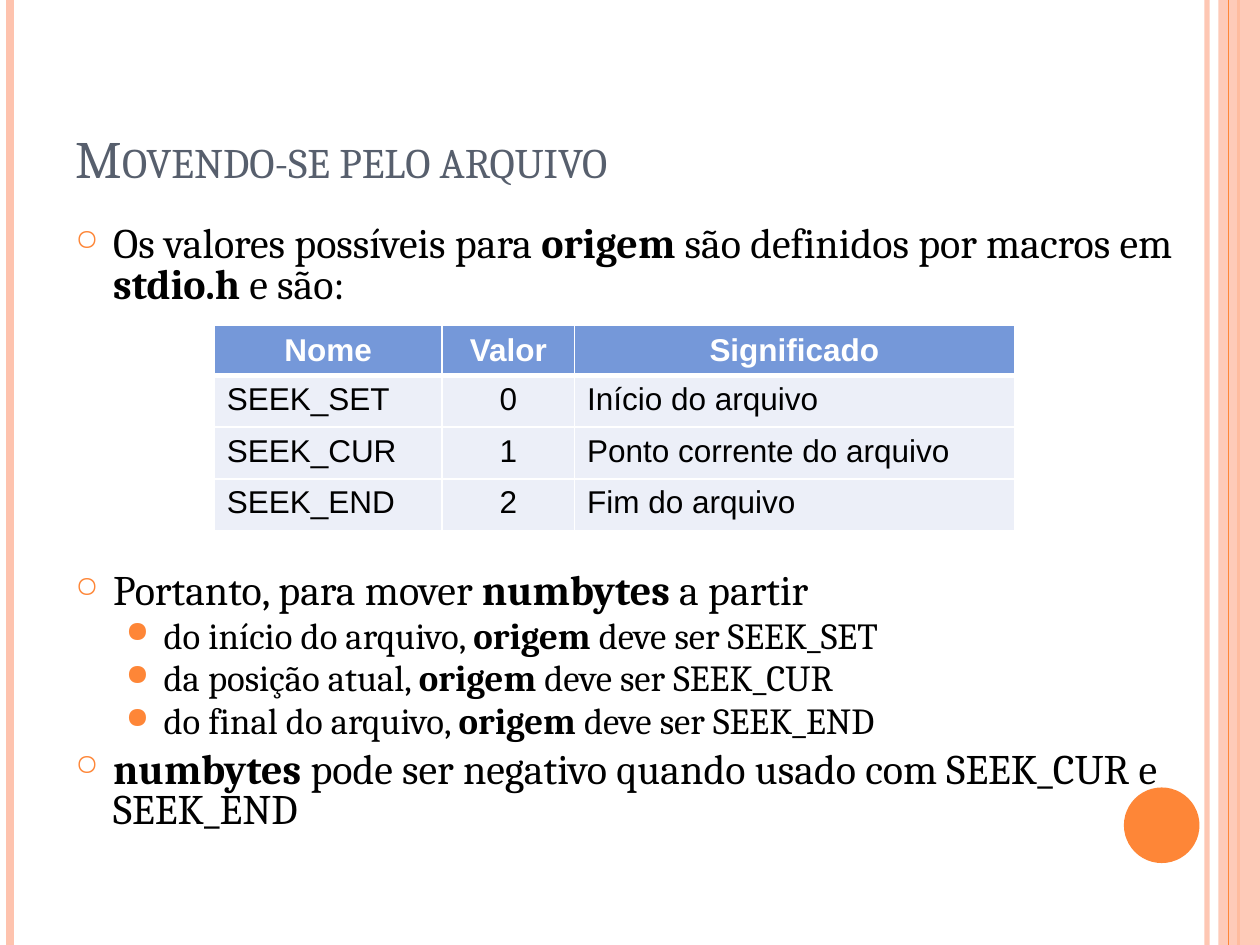
from lxml import etree
from pptx import Presentation
from pptx.dml.color import RGBColor
from pptx.enum.shapes import MSO_CONNECTOR, MSO_SHAPE
from pptx.enum.text import MSO_ANCHOR, MSO_AUTO_SIZE, PP_ALIGN
from pptx.oxml.ns import qn
from pptx.util import Inches, Pt

STRAIGHT = MSO_CONNECTOR.STRAIGHT
RECTANGLE, OVAL = MSO_SHAPE.RECTANGLE, MSO_SHAPE.OVAL
LEFT, CENTER = PP_ALIGN.LEFT, PP_ALIGN.CENTER
TOP, MIDDLE, BOTTOM = MSO_ANCHOR.TOP, MSO_ANCHOR.MIDDLE, MSO_ANCHOR.BOTTOM
NO_FIT = MSO_AUTO_SIZE.NONE

WHITE = RGBColor(0xFF, 0xFF, 0xFF)
BLACK = RGBColor(0x00, 0x00, 0x00)
SLATE = RGBColor(0x57, 0x5F, 0x6D)
ORANGE = RGBColor(0xFE, 0x86, 0x37)
PEACH = RGBColor(0xFE, 0xC3, 0xAE)
BLUE = RGBColor(0x75, 0x98, 0xD9)
PALE_BLUE = RGBColor(0xEC, 0xEF, 0xF8)

TITLE = "Movendo-se pelo arquivo"
INTRO = [
    (0, [("Os valores possíveis para ", False), ("origem", True),
         (" são definidos por macros em ", False), ("stdio.h", True), (" e são:", False)]),
]
USAGE = [
    (0, [("Portanto, para mover ", False), ("numbytes", True), (" a partir", False)]),
    *[(1, [(f"{start}, ", False), ("origem", True), (f" deve ser {macro}", False)])
      for start, macro in [("do início do arquivo", "SEEK_SET"),
                           ("da posição atual", "SEEK_CUR"),
                           ("do final do arquivo", "SEEK_END")]],
    (0, [("numbytes ", True),
         ("pode ser negativo quando usado com SEEK_CUR e SEEK_END", False)]),
]
LEVELS = [
    {"size": 24, "before": 6, "indent": 0.3, "bullet": ("○", 70)},
    {"size": 21, "before": 4.2, "indent": 0.7, "bullet": ("●", 80)},
]
TABLE = [
    ("Nome", "Valor", "Significado"),
    ("SEEK_SET", "0", "Início do arquivo"),
    ("SEEK_CUR", "1", "Ponto corrente do arquivo"),
    ("SEEK_END", "2", "Fim do arquivo"),
]
COLUMN_WIDTHS = [1.81, 1.05, 3.49]
ROW_HEIGHTS = [0.39, 0.41, 0.41, 0.41]
LEFT_STRIPES = [(9.58, PEACH, 3, 93), (0.08, PEACH, 4.5, 100), (9.83, ORANGE, 1.5, 100)]
TOP_STRIPE = (9.75, ORANGE, 0.75, 100)


def add_element(parent, tag, **attributes):
    element = etree.SubElement(parent, qn(tag))
    for name, value in attributes.items():
        element.set(name, str(value))
    return element


def set_opacity(shape, percent):
    if percent < 100:
        color = next(shape.element.spPr.iter(qn("a:srgbClr")))
        add_element(color, "a:alpha", val=percent * 1000)


def write_text(para, spans, size, font="Cambria", color=BLACK, align=LEFT, before=0,
               spacing=None, indent=None, bullet=None, small_caps=False):
    para.alignment = align
    para.space_before = Pt(before)
    if spacing:
        para.line_spacing = spacing
    if bullet:
        mark, percent = bullet
        properties = para._p.get_or_add_pPr()
        properties.set("marL", str(Inches(indent)))
        properties.set("indent", str(Inches(-0.3)))
        bullet_color = add_element(properties, "a:buClr")
        add_element(bullet_color, "a:srgbClr", val=ORANGE)
        add_element(properties, "a:buSzPct", val=percent * 1000)
        add_element(properties, "a:buChar", char=mark)
    for text, bold in spans:
        span = para.add_run()
        span.text = text
        span.font.size = Pt(size)
        span.font.name = font
        span.font.bold = bold
        span.font.color.rgb = color
        if small_caps:
            span.font._element.set("cap", "small")


def add_stripe(page, x, color, width, opacity):
    stripe = page.shapes.add_connector(STRAIGHT, Inches(x), 0, Inches(x), Inches(7.5))
    stripe.line.color.rgb = color
    stripe.line.width = Pt(width)
    set_opacity(stripe, opacity)
    add_element(stripe.element.spPr, "a:effectLst")


def add_solid(page, kind, left, top, width, height, color, opacity=100):
    shape = page.shapes.add_shape(kind, Inches(left), Inches(top), Inches(width), Inches(height))
    shape.shadow.inherit = False
    shape.fill.solid()
    shape.fill.fore_color.rgb = color
    shape.line.fill.background()
    set_opacity(shape, opacity)


def add_bullets(page, items, top, height):
    box = page.shapes.add_textbox(Inches(0.5), Inches(top), Inches(8.92), Inches(height))
    frame = box.text_frame
    frame.word_wrap = True
    for index, (level, spans) in enumerate(items):
        para = frame.add_paragraph() if index else frame.paragraphs[0]
        para.level = level
        write_text(para, spans, spacing=0.8, **LEVELS[level])


def set_borders(cell, row):
    properties = cell._tc.get_or_add_tcPr()
    widths = {"L": 1, "R": 1, "T": 3 if row == 1 else 1, "B": 3 if row == 0 else 1}
    for side, width in widths.items():
        border = add_element(properties, f"a:ln{side}", w=Pt(width))
        fill = add_element(border, "a:solidFill")
        add_element(fill, "a:srgbClr", val=WHITE)


def add_macro_table(page):
    table = page.shapes.add_table(
        len(TABLE), len(COLUMN_WIDTHS), Inches(1.7), Inches(2.58),
        Inches(sum(COLUMN_WIDTHS)), Inches(sum(ROW_HEIGHTS))).table
    table.horz_banding = False
    for column, width in zip(table.columns, COLUMN_WIDTHS):
        column.width = Inches(width)
    for row, height in zip(table.rows, ROW_HEIGHTS):
        row.height = Inches(height)
    for row, texts in enumerate(TABLE):
        header = row == 0
        for column, text in enumerate(texts):
            cell = table.cell(row, column)
            set_borders(cell, row)
            cell.fill.solid()
            cell.fill.fore_color.rgb = BLUE if header else PALE_BLUE
            cell.vertical_anchor = MIDDLE if header else TOP
            write_text(cell.text_frame.paragraphs[0], [(text, header)], 18, font="Arial",
                       color=WHITE if header else BLACK, before=3.6,
                       align=CENTER if header or column == 1 else LEFT)


def add_title(page):
    title = page.shapes.title
    title.left, title.top = Inches(0.5), Inches(0.3)
    title.width, title.height = Inches(8.17), Inches(1.25)
    frame = title.text_frame
    frame.auto_size = NO_FIT
    frame.vertical_anchor = BOTTOM
    write_text(frame.paragraphs[0], [(TITLE, False)], 30, color=SLATE, small_caps=True)


def main():
    deck = Presentation()
    deck.slide_width, deck.slide_height = Inches(10), Inches(7.5)
    page = deck.slides.add_slide(deck.slide_layouts[5])
    for stripe in LEFT_STRIPES:
        add_stripe(page, *stripe)
    add_solid(page, RECTANGLE, 9.67, 0, 0.33, 7.5, PEACH, opacity=87)
    add_stripe(page, *TOP_STRIPE)
    add_solid(page, OVAL, 8.92, 6.25, 0.6, 0.6, ORANGE)
    add_title(page)
    add_bullets(page, INTRO, 1.75, 0.75)
    add_macro_table(page)
    add_bullets(page, USAGE, 4.5, 2.33)
    deck.save("out.pptx")


if __name__ == "__main__":
    main()
